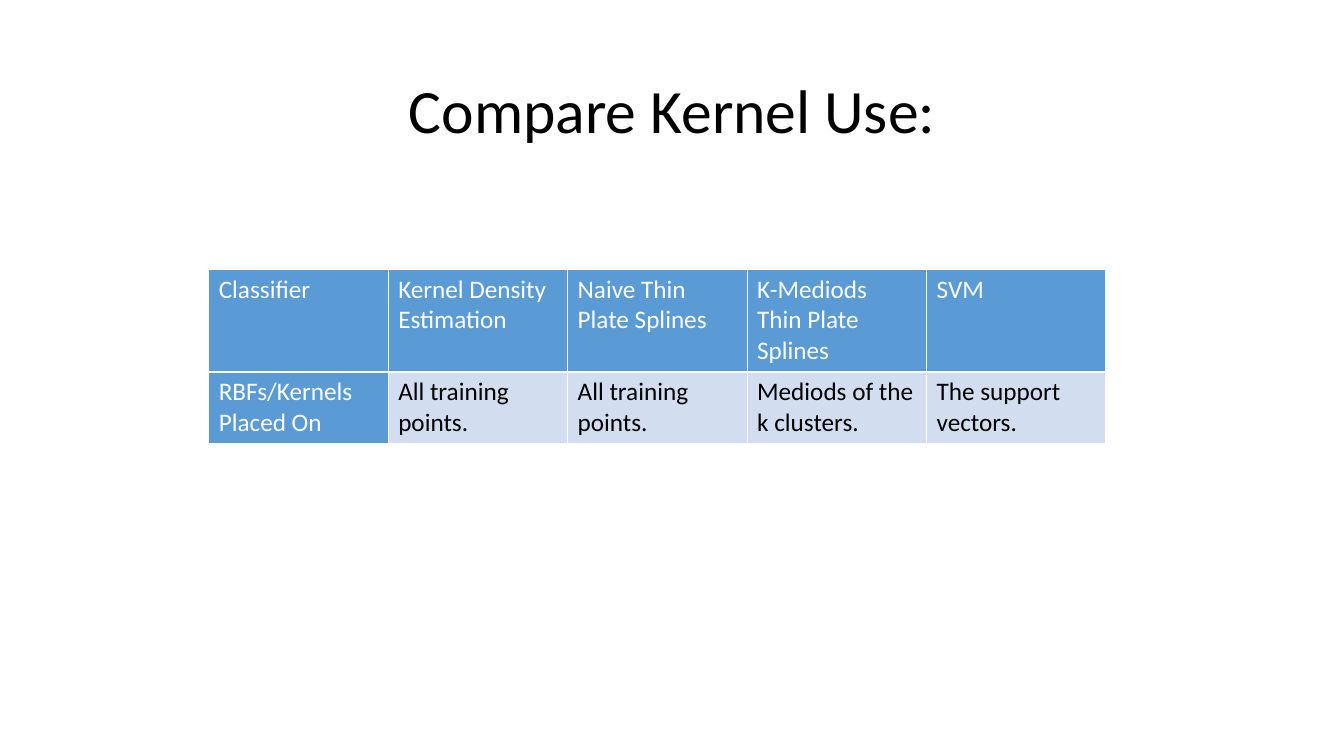
"""Build a slide comparing where classifiers place their kernels."""
from dataclasses import dataclass

from lxml.etree import SubElement
from pptx import Presentation
from pptx.dml.color import RGBColor
from pptx.enum.text import MSO_ANCHOR, PP_ALIGN
from pptx.oxml.ns import qn
from pptx.slide import Slide
from pptx.table import _Cell
from pptx.text.text import _Paragraph
from pptx.util import Inches, Pt


@dataclass(frozen=True)
class Theme:
    """Colours, font and type sizes of the slide."""
    font: str = "Calibri"
    title_size: int = 44
    cell_size: int = 18
    border_width: float = 1
    dark: str = "000000"
    light: str = "FFFFFF"
    header: str = "5B9BD5"
    body: str = "D2DEEF"


@dataclass(frozen=True)
class Classifier:
    """One classifier and the place of its kernels."""
    name: str
    placement: str


@dataclass(frozen=True)
class Grid:
    """Table origin, column width and row heights in inches."""
    left: float = 2.07
    top: float = 2.67
    column: float = 1.78
    rows: tuple[float, ...] = (1.02, 0.7)


THEME = Theme()
GRID = Grid()
COLUMNS = (
    Classifier("Classifier", "RBFs/Kernels Placed On"),
    Classifier("Kernel Density Estimation", "All training points."),
    Classifier("Naive Thin Plate Splines", "All training points."),
    Classifier("K-Mediods Thin Plate Splines", "Mediods of the k clusters."),
    Classifier("SVM", "The support vectors."),
)


def add_span(para: _Paragraph, text: str, size: int, color: str) -> None:
    """Add one formatted run to a paragraph."""
    span = para.add_run()
    span.text = text
    span.font.name = THEME.font
    span.font.size = Pt(size)
    span.font.bold = False
    span.font.color.rgb = RGBColor.from_string(color)


def add_title(page: Slide, text: str) -> None:
    """Place and fill the title placeholder."""
    box = page.shapes.title
    box.left, box.top = Inches(0.92), Inches(0.4)
    box.width, box.height = Inches(11.5), Inches(1.45)
    box.text_frame.vertical_anchor = MSO_ANCHOR.MIDDLE
    para = box.text_frame.paragraphs[0]
    para.alignment = PP_ALIGN.CENTER
    para.line_spacing = 0.9
    add_span(para, text, THEME.title_size, THEME.dark)


def draw_borders(cell: _Cell) -> None:
    """Draw a light line along every side of a cell."""
    properties = cell._tc.get_or_add_tcPr()
    for side in ("a:lnL", "a:lnR", "a:lnT", "a:lnB"):
        line = SubElement(properties, qn(side), w=str(Pt(THEME.border_width)))
        fill = SubElement(line, qn("a:solidFill"))
        SubElement(fill, qn("a:srgbClr"), val=THEME.light)


def format_cell(cell: _Cell, text: str, is_header: bool) -> None:
    """Fill one cell with text, colour and borders."""
    draw_borders(cell)
    cell.fill.solid()
    cell.fill.fore_color.rgb = RGBColor.from_string(
        THEME.header if is_header else THEME.body)
    add_span(cell.text_frame.paragraphs[0], text, THEME.cell_size,
             THEME.light if is_header else THEME.dark)


def add_comparison(page: Slide) -> None:
    """Add the table with one column per classifier."""
    table = page.shapes.add_table(
        len(GRID.rows), len(COLUMNS), Inches(GRID.left), Inches(GRID.top),
        Inches(GRID.column * len(COLUMNS)), Inches(sum(GRID.rows))).table
    table.first_col = True
    for row, height in zip(table.rows, GRID.rows):
        row.height = Inches(height)
    for column, entry in enumerate(COLUMNS):
        table.columns[column].width = Inches(GRID.column)
        format_cell(table.cell(0, column), entry.name, True)
        format_cell(table.cell(1, column), entry.placement, column == 0)


def main() -> None:
    """Build and save the deck."""
    deck = Presentation()
    deck.slide_width, deck.slide_height = Inches(13.33), Inches(7.5)
    page = deck.slides.add_slide(deck.slide_layouts.get_by_name("Title Only"))
    add_title(page, "Compare Kernel Use:")
    add_comparison(page)
    deck.save("out.pptx")


if __name__ == "__main__":
    main()
